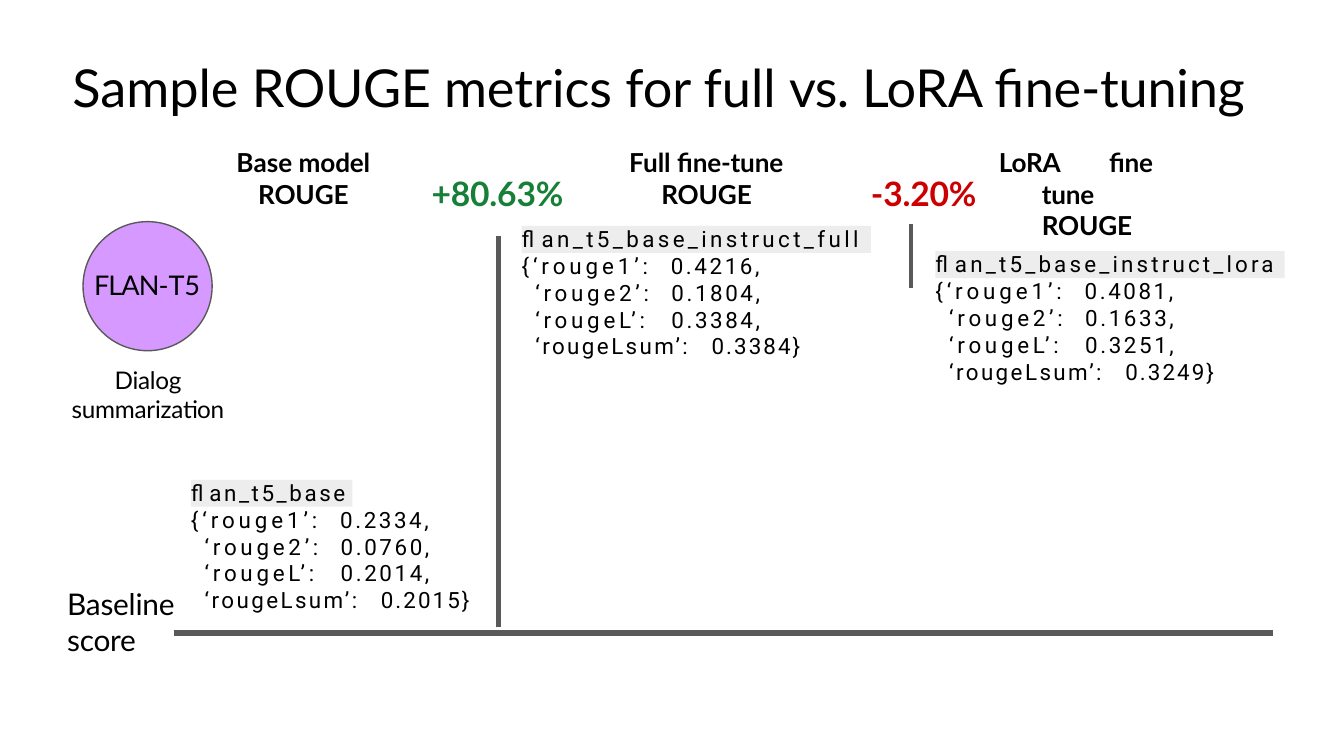
import pptx
import pptx.util
import pptx.dml.color
import pptx.enum.shapes
import pptx.enum.text
import pptx.oxml.ns
import lxml.etree

Cm = pptx.util.Cm
Pt = pptx.util.Pt
qn = pptx.oxml.ns.qn


def color(value):
    return pptx.dml.color.RGBColor.from_string(value)


def write(sp, paras, size, name="Lato", ink="000000", bold=False, top=0.03):
    tf = sp.text_frame
    frame = {"word_wrap": True, "margin_left": 0, "margin_right": 0, "margin_bottom": 0,
             "margin_top": Cm(top), "vertical_anchor": pptx.enum.text.MSO_ANCHOR.TOP}
    for key, value in frame.items():
        setattr(tf, key, value)
    for i, para in enumerate(paras):
        p = tf.add_paragraph() if i else tf.paragraphs[0]
        for key, value in para.get("format", {}).items():
            setattr(p, key, value)
        pPr = p._p.get_or_add_pPr()
        for key, value in para.get("indent", {}).items():
            pPr.set(key, str(Cm(value)))
        if "tab" in para:
            tabs = lxml.etree.SubElement(pPr, qn("a:tabLst"))
            lxml.etree.SubElement(tabs, qn("a:tab"), pos=str(Cm(para["tab"])), algn="l")
        for text, spacing in para["runs"]:
            r = p.add_run()
            r.text = text
            font = {"size": Pt(para.get("size", size)), "name": name, "bold": bold}
            for key, value in font.items():
                setattr(r.font, key, value)
            r.font.color.rgb = color(ink)
            r.font._element.set("spc", str(round(spacing * 100)))


prs = pptx.Presentation()
prs.slide_width, prs.slide_height = Cm(25.4), Cm(14.29)
s = prs.slides.add_slide(prs.slide_layouts[6])
shapes = pptx.enum.shapes.MSO_SHAPE
center = pptx.enum.text.PP_ALIGN.CENTER
flush = {"marL": 0.03}

lines = [
    (9.42, 11.86, 9.42, 4.47, 2.25),
    (3.28, 11.96, 24.05, 11.96, 3),
    (17.22, 4.24, 17.22, 5.44, 2.25),
]
for x1, y1, x2, y2, width in lines:
    sp = s.shapes.add_connector(pptx.enum.shapes.MSO_CONNECTOR.STRAIGHT,
                                Cm(x1), Cm(y1), Cm(x2), Cm(y2))
    sp.line.color.rgb = color("595959")
    sp.line.width = Pt(width)
    lxml.etree.SubElement(sp._element.spPr, qn("a:effectLst"))

metrics = [
    ("flan_t5_base", 1.4, 3.61, 9.07, 3.05, ["0.2334", "0.0760", "0.2014", "0.2015"]),
    ("flan_t5_base_instruct_lora", 1.7, 17.68, 4.75, 6.6, ["0.4081", "0.1633", "0.3251", "0.3249"]),
    ("flan_t5_base_instruct_full", 1.8, 9.86, 4.27, 6.6, ["0.4216", "0.1804", "0.3384", "0.3384"]),
]
for model, spacing, x, y, width, scores in metrics:
    sp = s.shapes.add_shape(shapes.RECTANGLE, Cm(x), Cm(y), Cm(width), Cm(0.51))
    sp.shadow.inherit = False
    sp.fill.solid()
    sp.fill.fore_color.rgb = color("EDEDED")
    sp.line.fill.background()
    left = {"line_spacing": Pt(13.9), "alignment": pptx.enum.text.PP_ALIGN.LEFT}
    write(sp, [{"runs": [(model, spacing)], "format": left}], 12, "Roboto", top=0)

    rows = []
    for label, end, tab, wide, tight in [("{‘rouge1’:", ",", 2.82, 2.1, 1.4),
                                         ("‘rouge2’:", ",", 2.57, 2, 1.4),
                                         ("‘rougeL’:", ",", 2.57, 2, 1.4),
                                         ("‘rougeLsum’:", "}", 3.33, 1.3, 1.1)]:
        score = scores[len(rows)] + end
        rows.append({"runs": [(label + "\t", wide), (score, tight)],
                     "indent": flush, "tab": tab})
    for dx, dy, w, h, part in [(-0.03, 0.46, 4.6, 0.53, rows[:1]),
                               (0.23, 0.97, 5.6, 1.55, rows[1:])]:
        sp = s.shapes.add_textbox(Cm(x + dx), Cm(y + dy), Cm(w), Cm(h))
        write(sp, part, 12, "Roboto")

sp = s.shapes.add_shape(shapes.OVAL, Cm(1.57), Cm(4.19), Cm(2.44), Cm(2.44))
sp.shadow.inherit = False
sp.fill.solid()
sp.fill.fore_color.rgb = color("D699FF")
sp.line.color.rgb = color("595959")
sp.line.width = Pt(0.75)

title = [("Sample ", 0), ("ROUGE ", -0.2), ("metrics for full ", 0),
         ("vs. ", -0.3), ("LoRA fine-tuning", -0.1)]
labels = [
    (8.13, 3.23, 2.54, 1.55, 18, "178038", True,
     [{"runs": [("+80.63%", -0.1)], "indent": flush}]),
    (16.43, 3.23, 2.03, 0.79, 18, "CC0000", True,
     [{"runs": [("-", -0.2), ("3.20%", -0.1)], "indent": flush}]),
    (4.45, 2.74, 2.57, 1.22, 14, "000000", True,
     [{"runs": [("Base ", 0), ("model ROUGE", -0.1)],
       "indent": {"marL": 0.43, "indent": -0.41}}]),
    (11.86, 2.74, 2.97, 1.22, 14, "000000", True,
     [{"runs": [("Full ", 0), ("fine-tune ROUGE", -0.1)],
       "indent": {"marL": 0.64, "indent": -0.61}}]),
    (18.85, 2.74, 3.38, 1.22, 14, "000000", True,
     [{"runs": [("LoRA\tfine tune ROUGE", -0.1)],
       "indent": {"marL": 0.84, "indent": -0.81}, "tab": 1.4}]),
    (0.71, 1.02, 25.3, 1.24, 28, "000000", False,
     [{"runs": title, "indent": {"marL": 0.66}}]),
    (1.24, 11.05, 2.13, 1.4, 16, "000000", False,
     [{"runs": [("Baseline score", -0.1)], "indent": flush}]),
    (1.27, 5.05, 3.02, 2.97, 14.5, "000000", False,
     [{"runs": [("FLAN-", -0.5), ("T5", -0.1)], "format": {"alignment": center}},
      {"runs": [("Dialog summarization", -0.1)], "size": 13, "indent": flush,
       "format": {"alignment": center, "space_before": Pt(34.4)}}]),
]
for x, y, w, h, size, ink, bold, paras in labels:
    sp = s.shapes.add_textbox(Cm(x), Cm(y), Cm(w), Cm(h))
    write(sp, paras, size, ink=ink, bold=bold)

prs.save("out.pptx")
